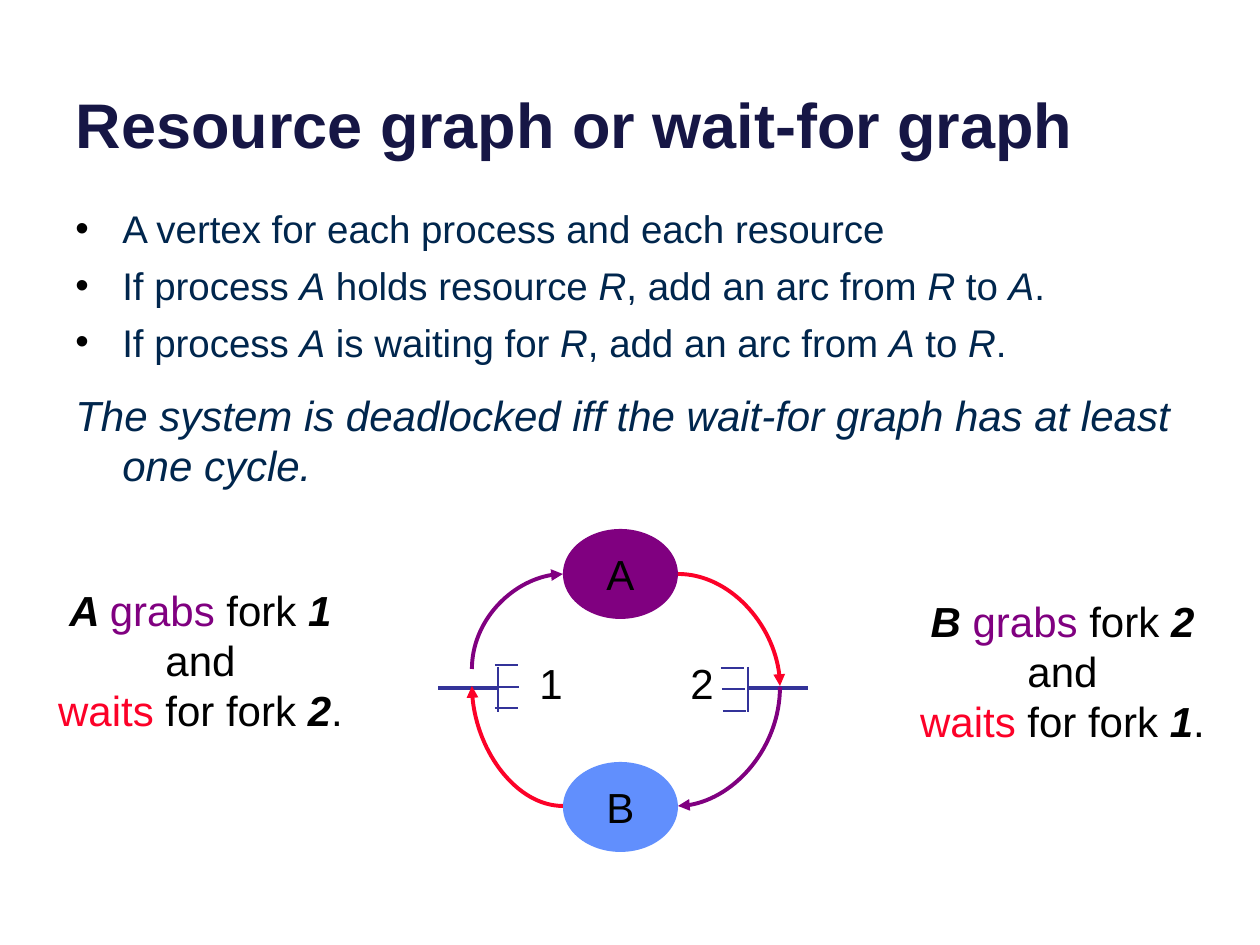
"""Builds a slide that explains the resource graph with two processes and two forks."""
from dataclasses import dataclass

from lxml import etree
from pptx import Presentation, util as u
from pptx.dml.color import RGBColor
from pptx.enum import shapes, text
from pptx.oxml.ns import qn


@dataclass(frozen=True)
class Theme:
    font: str = "Arial"
    title: str = "161645"
    body: str = "00264D"
    ink: str = "000000"
    holds: str = "800080"
    waits: str = "FC0128"
    process_b: str = "618FFD"
    fork: str = "333399"
    title_size: int = 36
    bullet_size: int = 22
    text_size: int = 24
    thin: float = 1
    handle: float = 1.75
    arc: float = 2.25


THEME = Theme()


@dataclass(frozen=True)
class Box:
    left: int
    top: int
    width: int
    height: int


@dataclass(frozen=True)
class Span:
    text: str
    color: str = THEME.ink
    bold: bool = False
    italic: bool = False


@dataclass(frozen=True)
class Fork:
    label: str
    label_left: int
    spine: int
    direction: int
    tines: tuple


@dataclass(frozen=True)
class Process:
    name: str
    color: str
    top: int


@dataclass(frozen=True)
class Arc:
    begin: tuple
    end: tuple
    color: str
    arrow: str


SLIDE = Box(0, 0, 1260, 945)
TITLE = Box(63, -47, 1134, 214)
BODY = Box(63, 199, 1134, 315)
INDENT = 47
TINE_LENGTH = 23
HANDLE_LENGTH = 60
FORK_Y = 688
PROCESSES = (Process("B", THEME.process_b, 762), Process("A", THEME.holds, 529))
FORKS = (
    Fork("1", 527, 498, -1, ((495, 665), (496, 687), (495, 708))),
    Fork("2", 678, 748, 1, ((721, 668), (722, 689), (723, 711))),
)
ARCS = (
    Arc((678, 806), (780, 687), THEME.holds, "headEnd"),
    Arc((678, 574), (780, 686), THEME.waits, "tailEnd"),
    Arc((563, 574), (472, 669), THEME.holds, "headEnd"),
    Arc((563, 806), (472, 686), THEME.waits, "tailEnd"),
)
RULES = (
    "A vertex for each process and each resource",
    "If process *A* holds resource *R*, add an arc from *R* to *A*.",
    "If process *A* is waiting for *R*, add an arc from *A* to *R*.",
)
CONCLUSION = "The system is deadlocked iff the wait-for graph has at least one cycle."


def px(length: int) -> int:
    return round(length * u.Inches(1) / 126)


def place(box: Box) -> list[int]:
    return [px(side) for side in (box.left, box.top, box.width, box.height)]


def format_run(run, span: Span, size: int) -> None:
    run.font.name = THEME.font
    run.font.size = u.Pt(size)
    run.font.bold = span.bold
    run.font.italic = span.italic
    run.font.color.rgb = RGBColor.from_string(span.color)


def write(paragraph, spans: list[Span], size: int) -> None:
    for span in spans:
        run = paragraph.add_run()
        run.text = span.text
        format_run(run, span, size)


def emphasised(marked: str) -> list[Span]:
    parts = enumerate(marked.split("*"))
    return [Span(part, THEME.body, italic=index % 2 == 1) for index, part in parts]


def add_title(slide) -> None:
    title = slide.shapes.title
    title.left, title.top, title.width, title.height = place(TITLE)
    frame = title.text_frame
    frame.text = "Resource graph or wait-for graph"
    frame.auto_size = text.MSO_AUTO_SIZE.NONE
    frame.vertical_anchor = text.MSO_ANCHOR.BOTTOM
    frame.paragraphs[0].alignment = text.PP_ALIGN.LEFT
    format_run(frame.paragraphs[0].runs[0], Span("", THEME.title, bold=True), THEME.title_size)


def hang(paragraph, bulleted: bool) -> None:
    properties = paragraph._p.get_or_add_pPr()
    properties.set("marL", str(px(INDENT)))
    properties.set("indent", str(-px(INDENT)))
    if bulleted:
        color = etree.SubElement(properties, qn("a:buClr"))
        etree.SubElement(color, qn("a:srgbClr"), val=THEME.ink)
        etree.SubElement(properties, qn("a:buFont"), typeface=THEME.font)
        etree.SubElement(properties, qn("a:buChar"), char="•")


def add_body(slide) -> None:
    frame = slide.shapes.add_textbox(*place(BODY)).text_frame
    frame.word_wrap = True
    for index, rule in enumerate(RULES):
        paragraph = frame.add_paragraph() if index else frame.paragraphs[0]
        hang(paragraph, True)
        paragraph.space_before = u.Pt(6 if index else 0)
        write(paragraph, emphasised(rule), THEME.bullet_size)
    paragraph = frame.add_paragraph()
    hang(paragraph, False)
    paragraph.space_before = u.Pt(14)
    write(paragraph, [Span(CONCLUSION, THEME.body, italic=True)], THEME.text_size)


def add_process(slide, process: Process) -> None:
    box = Box(563, process.top, 115, 90)
    shape = slide.shapes.add_shape(shapes.MSO_SHAPE.OVAL, *place(box))
    shape.shadow.inherit = False
    shape.fill.solid()
    shape.fill.fore_color.rgb = RGBColor.from_string(process.color)
    shape.line.fill.background()
    shape.text_frame.vertical_anchor = text.MSO_ANCHOR.MIDDLE
    paragraph = shape.text_frame.paragraphs[0]
    paragraph.alignment = text.PP_ALIGN.CENTER
    write(paragraph, [Span(process.name)], THEME.text_size)


def add_line(parent, kind, begin: tuple, end: tuple, color: str, width: float):
    connector = parent.shapes.add_connector(kind, *map(px, begin + end))
    connector.line.color.rgb = RGBColor.from_string(color)
    connector.line.width = u.Pt(width)
    etree.SubElement(connector.element.spPr, qn("a:effectLst"))
    return connector


def add_fork(slide, fork: Fork) -> None:
    straight = shapes.MSO_CONNECTOR.STRAIGHT
    group = slide.shapes.add_group_shape()
    tip = (fork.spine + fork.direction * HANDLE_LENGTH, FORK_Y)
    add_line(group, straight, (fork.spine, FORK_Y), tip, THEME.fork, THEME.handle)
    add_line(group, straight, (fork.spine, 667), (fork.spine, 712), THEME.fork, THEME.thin)
    for left, y in fork.tines:
        add_line(group, straight, (left, y), (left + TINE_LENGTH, y), THEME.fork, THEME.thin)
    label = slide.shapes.add_textbox(*place(Box(fork.label_left, 651, 62, 64)))
    label.text_frame.word_wrap = True
    write(label.text_frame.paragraphs[0], [Span(fork.label)], THEME.text_size)


def add_arc(slide, arc: Arc) -> None:
    kind = shapes.MSO_CONNECTOR.CURVE
    connector = add_line(slide, kind, arc.begin, arc.end, arc.color, THEME.arc)
    properties = connector.element.spPr
    properties.find(qn("a:prstGeom")).set("prst", "curvedConnector2")
    etree.SubElement(properties.find(qn("a:ln")), qn(f"a:{arc.arrow}"), type="triangle")


def add_caption(slide, box: Box, process: str, held: str, wanted: str) -> None:
    frame = slide.shapes.add_textbox(*place(box)).text_frame
    frame.word_wrap = False
    lines = (
        [Span(f"{process} ", bold=True, italic=True), Span("grabs", THEME.holds),
         Span(" fork "), Span(held, bold=True, italic=True)],
        [Span("and")],
        [Span("waits", THEME.waits), Span(" for fork "),
         Span(wanted, bold=True, italic=True), Span(".")],
    )
    for index, spans in enumerate(lines):
        paragraph = frame.add_paragraph() if index else frame.paragraphs[0]
        paragraph.alignment = text.PP_ALIGN.CENTER
        write(paragraph, spans, THEME.text_size)


def main() -> None:
    presentation = Presentation()
    presentation.slide_width, presentation.slide_height = px(SLIDE.width), px(SLIDE.height)
    slide = presentation.slides.add_slide(presentation.slide_layouts[5])
    add_title(slide)
    add_body(slide)
    for process in PROCESSES:
        add_process(slide, process)
    for fork in FORKS:
        add_fork(slide, fork)
    for arc in ARCS:
        add_arc(slide, arc)
    add_caption(slide, Box(43, 578, 315, 165), "A", "1", "2")
    add_caption(slide, Box(905, 589, 315, 165), "B", "2", "1")
    presentation.save("out.pptx")


if __name__ == "__main__":
    main()
